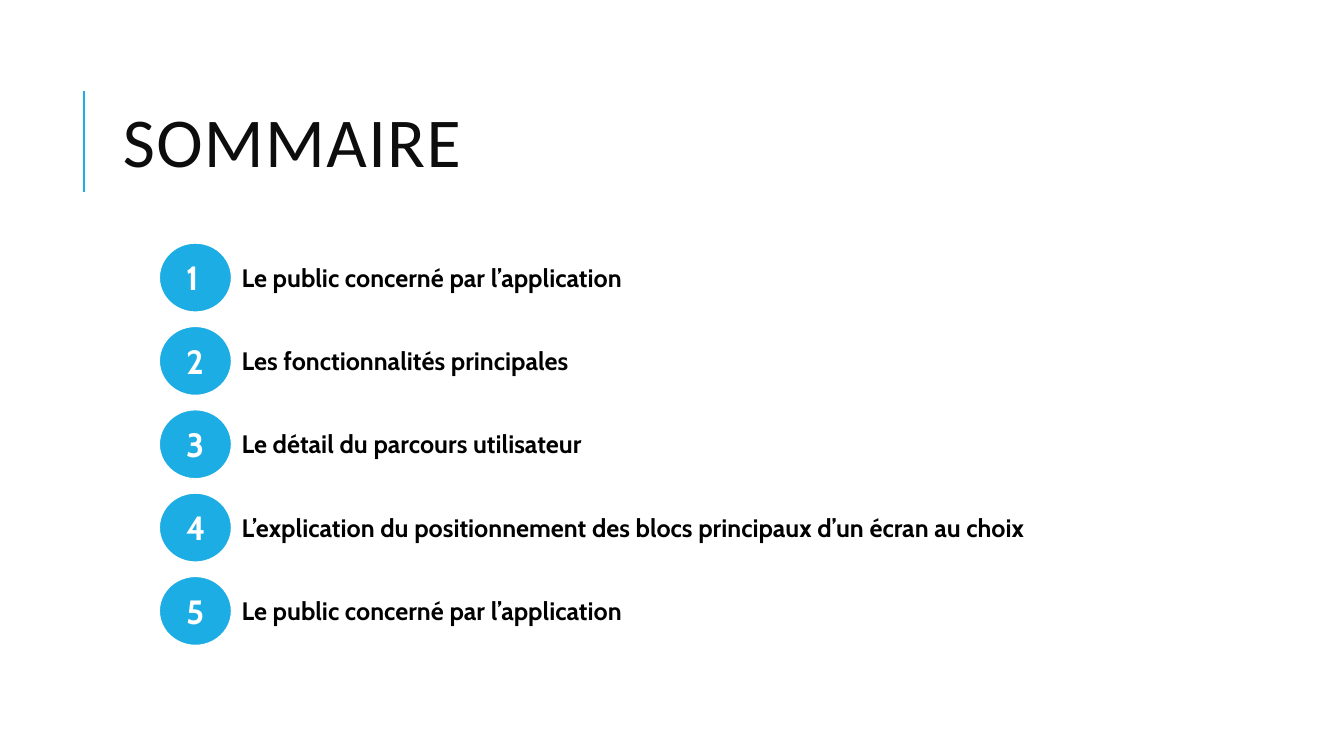
from lxml import etree
from pptx import Presentation
from pptx.dml.color import RGBColor
from pptx.enum import shapes, text
from pptx.oxml.ns import qn
from pptx.util import Cm, Pt

BLUE = RGBColor(0x1C, 0xAD, 0xE4)
WHITE = RGBColor(0xFF, 0xFF, 0xFF)
BLACK = RGBColor(0x00, 0x00, 0x00)
INK = RGBColor(0x0D, 0x0D, 0x0D)

TOPICS = [
    ("Le public concerné par l’application", 11.43),
    ("Les fonctionnalités principales", 11.43),
    ("Le détail du parcours utilisateur", 11.43),
    ("L’explication du positionnement des blocs principaux d’un écran au choix", 21.89),
    ("Le public concerné par l’application", 11.43),
]
ROW_PITCH = 2.1


def add_heading(slide, wording, left, top, width, height):
    """Place the title and the blue rule to its left."""
    rule = slide.shapes.add_connector(
        shapes.MSO_CONNECTOR.STRAIGHT,
        Cm(left - 0.73), Cm(top + 3.2), Cm(left - 0.73), Cm(top + 0.66))
    rule.line.color.rgb = BLUE
    rule.line.width = Pt(1.5)
    etree.SubElement(rule._element.spPr, qn("a:effectLst"))

    title = slide.shapes.title
    title.left, title.top, title.width, title.height = map(Cm, (left, top, width, height))
    title.text_frame.text = wording
    title.text_frame.vertical_anchor = text.MSO_ANCHOR.MIDDLE
    heading = title.text_frame.paragraphs[0]
    heading.alignment = text.PP_ALIGN.LEFT
    heading.line_spacing = 0.8
    heading.font.size = Pt(50)
    heading.font.name = "Calibri"
    heading.font.color.rgb = INK
    heading.runs[0].font._element.set("spc", "100")


def add_words(slide, wording, left, top, width, height, size, color, wrap):
    """Place one bold line of text."""
    frame = slide.shapes.add_textbox(Cm(left), Cm(top), Cm(width), Cm(height)).text_frame
    frame.word_wrap = wrap
    frame.auto_size = text.MSO_AUTO_SIZE.SHAPE_TO_FIT_TEXT
    frame.text = wording
    font = frame.paragraphs[0].font
    font.name, font.size, font.bold = "Cabin", Pt(size), True
    font.color.rgb = color


def add_topic(slide, number, topic, left, top, label_width):
    """Place a numbered disc with its topic on the right."""
    disc = slide.shapes.add_shape(
        shapes.MSO_SHAPE.OVAL, Cm(left), Cm(top), Cm(1.83), Cm(1.75))
    disc.shadow.inherit = False
    disc.fill.solid()
    disc.fill.fore_color.rgb = BLUE
    disc.line.color.rgb = WHITE
    disc.line.width = Pt(1.25)
    add_words(slide, str(number), left + 0.43, top + 0.24, 0.97, 1.27, 24, WHITE, False)
    add_words(slide, topic, left + 1.83, top + 0.36, label_width, 1.02, 18, BLACK, True)


def add_agenda(slide, left, top):
    """Stack the topics at an equal pitch."""
    for row, (topic, label_width) in enumerate(TOPICS):
        add_topic(slide, row + 1, topic, left, top + row * ROW_PITCH, label_width)


def main():
    """Build and save the agenda slide."""
    deck = Presentation()
    deck.slide_width, deck.slide_height = Cm(33.87), Cm(19.05)
    slide = deck.slides.add_slide(deck.slide_layouts.get_by_name("Title Only"))
    add_heading(slide, "SOMMAIRE", 2.84, 1.63, 27, 4.17)
    add_agenda(slide, 4.01, 6.12)
    deck.save("out.pptx")


main()
